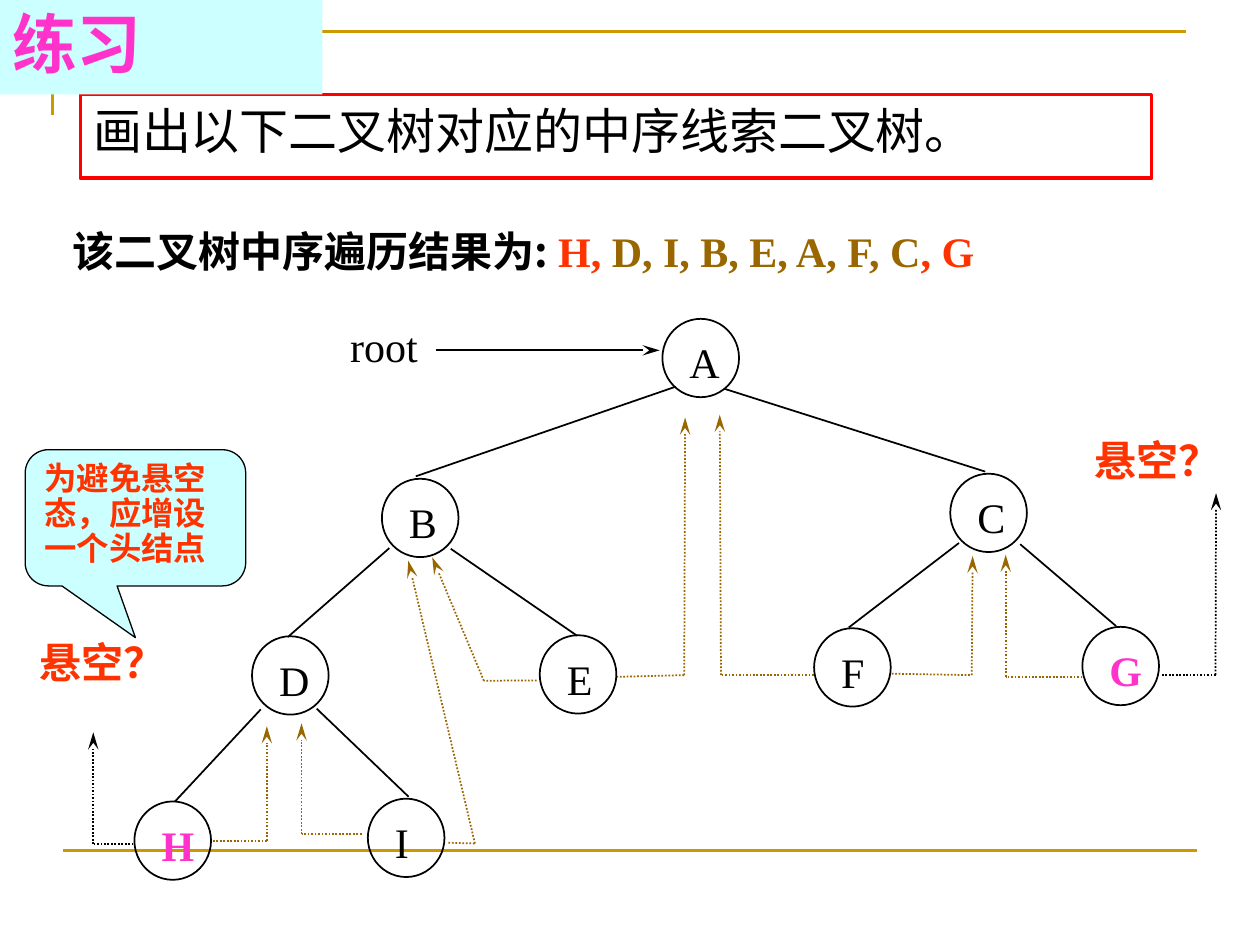
from pptx import Presentation
from pptx import util as u
from pptx.dml.color import RGBColor
from pptx.enum import dml, shapes, text
from pptx.oxml.ns import qn
from lxml import etree

Pt = u.Pt
BLACK = RGBColor(0x00, 0x00, 0x00)
RED = RGBColor(0xFF, 0x00, 0x00)
ORANGE = RGBColor(0xFF, 0x33, 0x00)
PINK = RGBColor(0xFF, 0x33, 0xCC)
BROWN = RGBColor(0x99, 0x66, 0x00)
GOLD = RGBColor(0xCC, 0x99, 0x00)
CYAN = RGBColor(0xCC, 0xFF, 0xFF)
SERIF = "Times New Roman"
CJK = "Noto Sans CJK SC"

prs = Presentation()
prs.slide_width, prs.slide_height = Pt(720), Pt(540)
s = prs.slides.add_slide(prs.slide_layouts[5])


def add_line(start, end, color=BLACK, width=1, dotted=False, arrow=False):
    c = s.shapes.add_connector(shapes.MSO_CONNECTOR.STRAIGHT, *map(Pt, start + end))
    c.line.color.rgb = color
    c.line.width = Pt(width)
    if dotted:
        c.line.dash_style = dml.MSO_LINE.ROUND_DOT
    if arrow:
        etree.SubElement(c.line._ln, qn("a:tailEnd"), type="stealth", w="med", len="lg")
    etree.SubElement(c._element.spPr, qn("a:effectLst"))


def write(sp, runs, size=24, bold=False, wrap=True, spacing=1.0, anchor=text.MSO_ANCHOR.TOP):
    tf = sp.text_frame
    frame = {"word_wrap": wrap, "auto_size": text.MSO_AUTO_SIZE.NONE, "vertical_anchor": anchor}
    for name, value in frame.items():
        setattr(tf, name, value)
    p = tf.paragraphs[0]
    p.alignment = text.PP_ALIGN.LEFT
    p.line_spacing = spacing
    for words, color, font in runs:
        r = p.add_run()
        r.text = words
        for name, value in {"size": Pt(size), "bold": bold, "name": font}.items():
            setattr(r.font, name, value)
        r.font.color.rgb = color
        etree.SubElement(r.font._element, qn("a:ea"), typeface=CJK)


fb = s.shapes.build_freeform(Pt(30), Pt(66), scale=1.0)
fb.add_line_segments([(Pt(30), Pt(18)), (Pt(678), Pt(18))], close=False)
frame_line = fb.convert_to_shape()
frame_line.shadow.inherit = False
frame_line.fill.background()
frame_line.line.color.rgb = GOLD
frame_line.line.width = Pt(1.5)
add_line((36, 486), (684, 486), GOLD, 1.5)

title = s.shapes.title
title._element.getparent().append(title._element)
title.left, title.top, title.width, title.height = map(Pt, (46, 54, 612, 48))
title.line.color.rgb = RED
title.line.width = Pt(2.25)
write(title, [("画出以下二叉树对应的中序线索二叉树。", BLACK, SERIF)], 28)

threads = [
    (BROWN, (256.3, 481.6), (271.4, 482), (233.3, 320.4)),
    (BROWN, (306.7, 388.8), (276.5, 389), (247, 318.5)),
    (BROWN, (206.6, 476.6), (172.3, 476.6), (172.3, 413.3)),
    (BROWN, (121.7, 480.4), (152.5, 480.4), (152.5, 415)),
    (BROWN, (465, 385.8), (412, 385.8), (411.3, 237)),
    (BROWN, (618.5, 386.7), (574.7, 386.7), (574.7, 317)),
    (BLACK, (76.3, 482.3), (53.3, 482.3), (53.3, 418.5)),
    (BROWN, (352.2, 386.8), (391, 385.8), (391.5, 238.6)),
    (BROWN, (509.6, 385), (555.3, 385.8), (555.8, 317.7)),
    (BLACK, (664, 385.6), (694.6, 385.6), (694.9, 281.8)),
]
for color, start, corner, end in threads:
    add_line(start, corner, color, dotted=True)
    add_line(corner, end, color, dotted=True, arrow=True)

branches = [
    ((386, 221), (237.6, 272.2)),
    ((414, 222.2), (563, 269.5)),
    ((222.5, 313.2), (164.5, 364)),
    ((257.6, 313.6), (329.8, 363.3)),
    ((548, 310.3), (485, 358.6)),
    ((583, 311), (637.8, 357.8)),
    ((149, 405.4), (100, 458)),
    ((181, 405), (233.5, 455.3)),
]
for start, end in branches:
    add_line(start, end)
add_line((249, 200.2), (377, 200.2), arrow=True)

nodes = {
    "A": (378.5, 182.2), "B": (218.2, 273.6), "C": (543, 270.7),
    "D": (144, 363.6), "E": (308.4, 363), "F": (465.2, 359),
    "G": (618.5, 358.2), "H": (76.8, 458), "I": (210.2, 456.4),
}
for name, (x, y) in nodes.items():
    node = s.shapes.add_shape(shapes.MSO_SHAPE.OVAL, Pt(x), Pt(y), Pt(43.8), Pt(44.8))
    node.shadow.inherit = False
    node.fill.background()
    node.line.color.rgb = BLACK
    node.line.width = Pt(1)
    unthreaded = name in "HG"
    label = s.shapes.add_textbox(Pt(x + 8.4), Pt(y + 6.8), Pt(32), Pt(36))
    write(label, [(name, PINK if unthreaded else BLACK, SERIF)], bold=unthreaded, wrap=False)

root = s.shapes.add_textbox(Pt(193), Pt(179.5), Pt(53.5), Pt(36))
write(root, [("root", BLACK, SERIF)], wrap=False)

for x, y in [(15.8, 360), (618.5, 245)]:
    dangling = s.shapes.add_textbox(Pt(x), Pt(y), Pt(100), Pt(36))
    write(dangling, [("悬空？", ORANGE, SERIF)], bold=True)

result = s.shapes.add_textbox(Pt(34.6), Pt(125.3), Pt(636), Pt(36))
write(result, [
    ("该二叉树中序遍历结果为: ", BLACK, CJK),
    ("H, ", ORANGE, SERIF),
    ("D, I, B, E, A, F, C", BROWN, SERIF),
    (", G", ORANGE, SERIF),
], bold=True)

callout = s.shapes.add_shape(shapes.MSO_SHAPE.ROUNDED_RECTANGULAR_CALLOUT,
                             Pt(14.4), Pt(257), Pt(126), Pt(77.8))
for i, value in enumerate((0, 0.88, 0.17)):
    callout.adjustments[i] = value
callout.line.color.rgb = BLACK
callout.line.width = Pt(0.75)
write(callout, [("为避免悬空态，应增设一个头结点", ORANGE, SERIF)], 18.5, True, spacing=0.9)

banner = s.shapes.add_shape(shapes.MSO_SHAPE.RECTANGLE, 0, 0, Pt(184.3), Pt(54))
banner.line.fill.background()
write(banner, [("练习", PINK, CJK)], 37, True, spacing=0.9, anchor=text.MSO_ANCHOR.MIDDLE)
for sp in (callout, banner):
    sp.shadow.inherit = False
    sp.fill.solid()
    sp.fill.fore_color.rgb = CYAN

prs.save("out.pptx")
